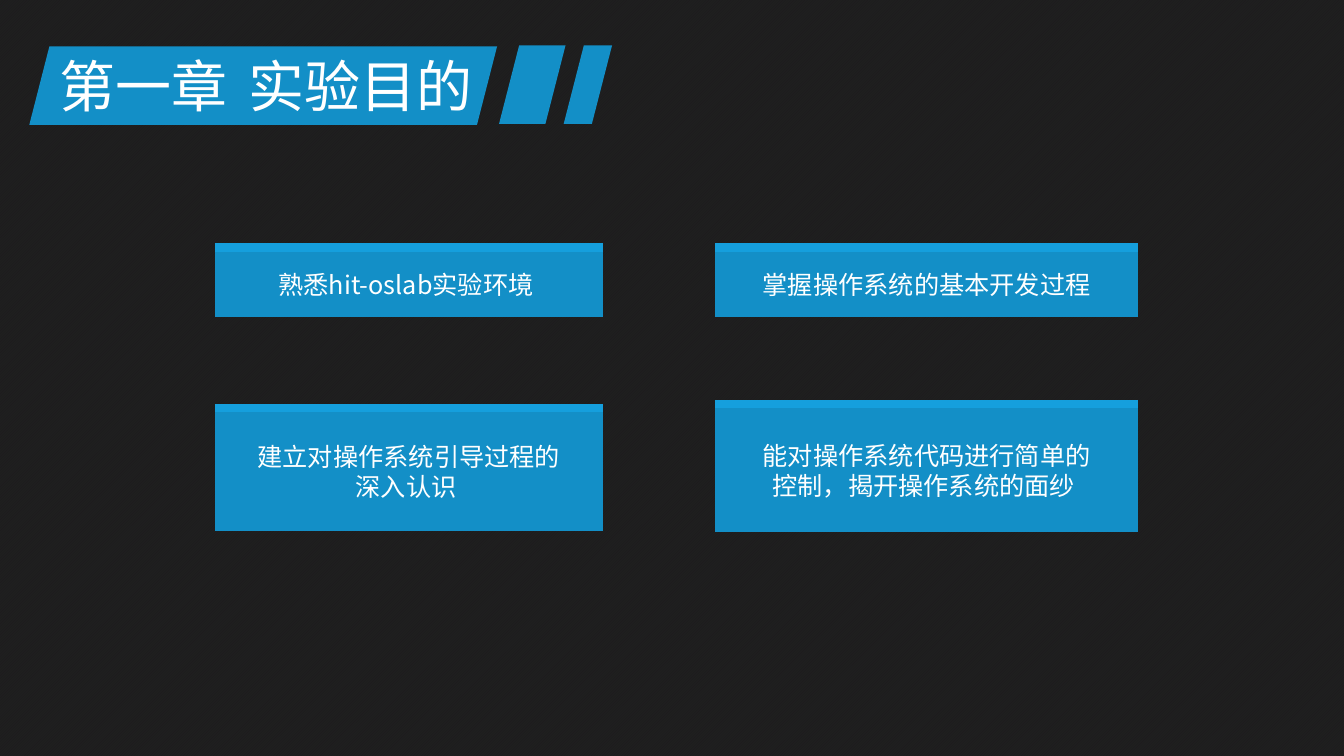
import pptx
import pptx.dml.color
import pptx.enum.dml
import pptx.enum.shapes
import pptx.enum.text
import pptx.oxml
import pptx.oxml.ns
import pptx.util
from dataclasses import dataclass


@dataclass(frozen=True)
class Theme:
    font: str = "Noto Sans CJK SC"
    title_size: int = 40
    goal_size: int = 18
    rule_width: int = 6
    text: str = "FFFFFF"
    panel: str = "138FC7"
    rule: str = "159FDD"
    shade: str = "000000"
    shade_alpha: int = 86
    weave: str = "BFBFBF"
    paper: str = "DDDCE2"


THEME = Theme()
WIDTH = pptx.util.Inches(13.33)
HEIGHT = pptx.util.Inches(7.5)
SLANT = pptx.util.Inches(0.2)
RULE_LIFT = 0.58  # gap from a panel's top up to its rule, % of height

# All positions are percentages of the slide's width and height.
HEADER_TOP, HEADER_HEIGHT = 6.13, 10.4
HEADER_BARS = [(2.18, 34.81, 6.13), (37.13, 4.95, 6), (41.94, 3.6, 6)]
TITLE_PARTS = [("第一章", 3.68, 14.1), ("实验目的", 17.78, 18.38)]
COLUMNS = [(15.98, 28.88), (53.19, 31.51)]
GOALS = [  # text, column, top, height
    ("熟悉hit-oslab实验环境 ", 0, 33.33, 8.67),
    ("掌握操作系统的基本开发过程 ", 1, 33.33, 8.67),
    ("建立对操作系统引导过程的深入认识 ", 0, 54.53, 15.73),
    ("能对操作系统代码进行简单的控制，揭开操作系统的面纱 ", 1, 54, 16.4),
]


def across(percent):
    return round(WIDTH * percent / 100)


def down(percent):
    return round(HEIGHT * percent / 100)


def rgb(value):
    return pptx.dml.color.RGBColor.from_string(value)


def add_child(parent, tag, **attributes):
    child = pptx.oxml.parse_xml(f"<{tag} {pptx.oxml.ns.nsdecls('a')}/>")
    for name, value in attributes.items():
        child.set(name, value)
    parent.append(child)


def write(frame, text, *, size, align=None, anchor=None, wrap=True):
    frame.word_wrap = wrap
    frame.vertical_anchor = anchor
    paragraph = frame.paragraphs[0]
    paragraph.alignment = align
    run = paragraph.add_run()
    run.text = text
    run.font.size = pptx.util.Pt(size)
    run.font.name = THEME.font
    run.font.color.rgb = rgb(THEME.text)
    add_child(run.font._element, "a:ea", typeface=THEME.font)


def add_block(slide, kind, left, top, width, height, color):
    block = slide.shapes.add_shape(
        kind, across(left), down(top), across(width), down(height))
    block.shadow.inherit = False
    block.fill.solid()
    block.fill.fore_color.rgb = rgb(color)
    block.line.fill.background()
    return block


def add_panel(slide, left, top, width, height, slant=0):
    panel = add_block(slide, pptx.enum.shapes.MSO_SHAPE.PARALLELOGRAM,
                      left, top, width, height, THEME.panel)
    panel.adjustments[0] = slant / min(panel.width, panel.height)
    return panel


def add_rule(slide, left, top, width):
    rule = slide.shapes.add_connector(
        pptx.enum.shapes.MSO_CONNECTOR.STRAIGHT,
        across(left), down(top), across(left + width), down(top))
    rule.line.color.rgb = rgb(THEME.rule)
    rule.line.width = pptx.util.Pt(THEME.rule_width)
    add_child(rule._element.spPr, "a:effectLst")


def add_title_part(slide, text, left, width):
    box = slide.shapes.add_textbox(
        across(left), down(HEADER_TOP), across(width), down(HEADER_HEIGHT))
    write(box.text_frame, text, size=THEME.title_size, wrap=False)
    box.text_frame.auto_size = pptx.enum.text.MSO_AUTO_SIZE.SHAPE_TO_FIT_TEXT


def add_goal(slide, text, column, top, height):
    left, width = COLUMNS[column]
    panel = add_panel(slide, left, top, width, height)
    write(panel.text_frame, text, size=THEME.goal_size,
          align=pptx.enum.text.PP_ALIGN.CENTER,
          anchor=pptx.enum.text.MSO_ANCHOR.MIDDLE)
    add_rule(slide, left, top - RULE_LIFT, width)


def add_backdrop(slide):
    paper = slide.background.fill
    paper.patterned()
    paper.pattern = pptx.enum.dml.MSO_PATTERN.LIGHT_UPWARD_DIAGONAL
    paper.fore_color.rgb = rgb(THEME.weave)
    paper.back_color.rgb = rgb(THEME.paper)
    shade = add_block(slide, pptx.enum.shapes.MSO_SHAPE.RECTANGLE,
                      0, 0, 100, 100, THEME.shade)
    shade_color = shade._element.spPr.find(
        ".//" + pptx.oxml.ns.qn("a:srgbClr"))
    add_child(shade_color, "a:alpha", val=str(THEME.shade_alpha * 1000))


def main():
    deck = pptx.Presentation()
    deck.slide_width, deck.slide_height = WIDTH, HEIGHT
    slide = deck.slides.add_slide(deck.slide_layouts[6])

    # Dark shade over a woven background
    add_backdrop(slide)

    # Chapter header
    for left, width, top in HEADER_BARS:
        add_panel(slide, left, top, width, HEADER_HEIGHT, SLANT)
    for part in TITLE_PARTS:
        add_title_part(slide, *part)

    # Experiment goals
    for goal in GOALS:
        add_goal(slide, *goal)

    deck.save("out.pptx")


if __name__ == "__main__":
    main()
